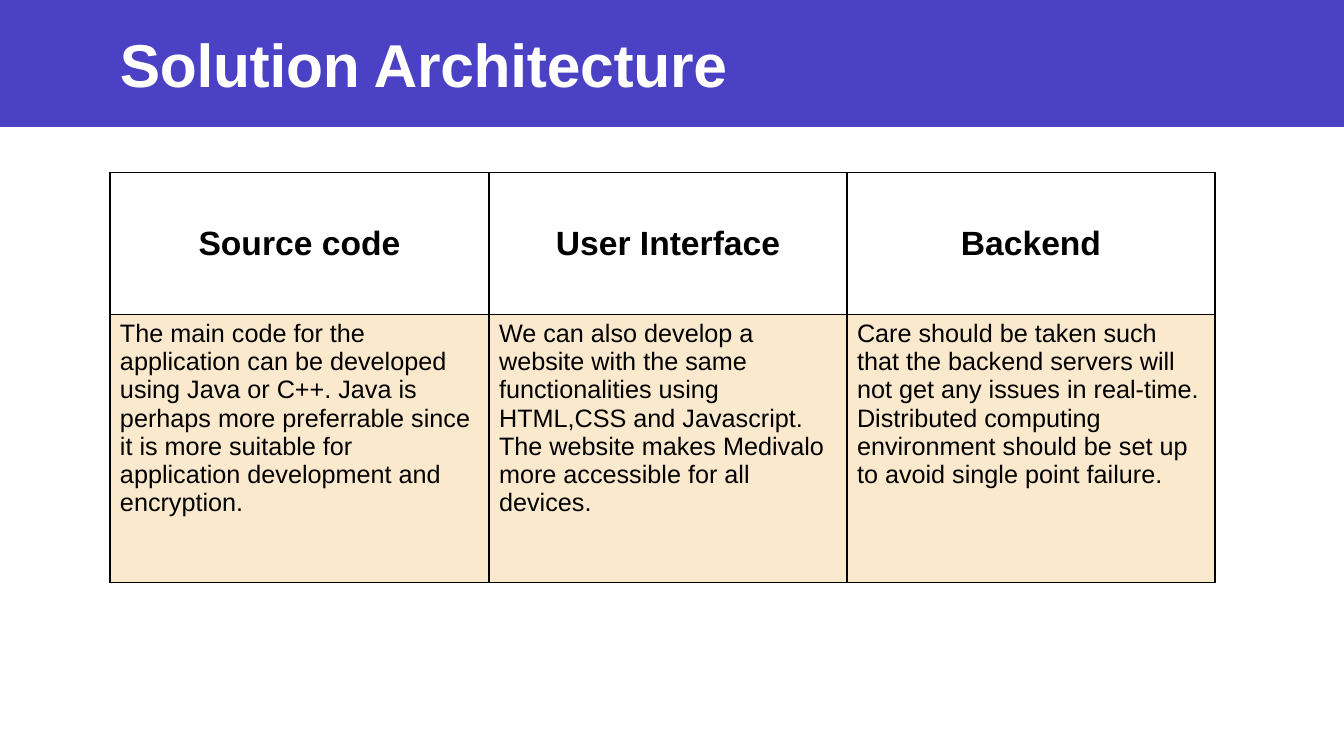
from lxml.etree import SubElement
from pptx import Presentation
from pptx.dml.color import RGBColor
from pptx.enum.shapes import MSO_SHAPE
from pptx.enum.text import MSO_ANCHOR, PP_ALIGN
from pptx.oxml import parse_xml
from pptx.oxml.ns import nsdecls, qn
from pptx.util import Inches, Pt

INDIGO = RGBColor(0x4A, 0x41, 0xC5)
WHITE = RGBColor(0xFF, 0xFF, 0xFF)
BLACK = RGBColor(0x00, 0x00, 0x00)
AMBER = RGBColor(0xE6, 0x95, 0x00)

LEFT, WIDTH = 1.09, 10.96
COLUMN_WIDTHS = [3.76, 3.55, 3.65]
ROW_HEIGHTS = [1.41, 2.66]
COLUMNS = [
    ("Source code",
     "The main code for the application can be developed using Java or C++. "
     "Java is perhaps more preferrable since it is more suitable for "
     "application development and encryption."),
    ("User Interface",
     "We can also develop a website with the same functionalities using "
     "HTML,CSS and Javascript.\n"
     "The website makes Medivalo more accessible for all devices."),
    ("Backend",
     "Care should be taken such that the backend servers will not get any "
     "issues in real-time.\n"
     "Distributed computing environment should be set up to avoid single "
     "point failure."),
]


def style_text(frame, size, color, bold, align=PP_ALIGN.LEFT):
    for para in frame.paragraphs:
        para.alignment = align
        for span in para.runs:
            span.font.name = "Arial"
            span.font.size = Pt(size)
            span.font.bold = bold
            span.font.color.rgb = color


def add_borders(cell):
    """Draw a 1 pt black line on all four sides of a cell."""
    properties = cell._tc.get_or_add_tcPr()
    for index, side in enumerate(("lnL", "lnR", "lnT", "lnB")):
        properties.insert(index, parse_xml(
            f'<a:{side} {nsdecls("a")} w="{Pt(1)}"><a:solidFill>'
            f'<a:srgbClr val="{BLACK}"/></a:solidFill></a:{side}>'))


deck = Presentation()
deck.slide_width, deck.slide_height = Inches(13.33), Inches(7.5)
page = deck.slides.add_slide(deck.slide_layouts[6])

# Title band
band = page.shapes.add_shape(MSO_SHAPE.RECTANGLE, 0, 0, deck.slide_width, Inches(1.26))
band.shadow.inherit = False
band.fill.solid()
band.fill.fore_color.rgb = INDIGO
band.line.fill.background()

title = page.shapes.add_textbox(Inches(LEFT), Inches(0.21), Inches(WIDTH), Inches(0.83))
frame = title.text_frame
frame.word_wrap = True
frame.vertical_anchor = MSO_ANCHOR.MIDDLE
frame.text = "Solution Architecture"
style_text(frame, 43.2, WHITE, True)
frame.paragraphs[0].runs[0].font._element.set("spc", "-20")

# Architecture table
table = page.shapes.add_table(
    len(ROW_HEIGHTS), len(COLUMNS), Inches(LEFT), Inches(1.71),
    Inches(WIDTH), Inches(sum(ROW_HEIGHTS))).table
table.first_row = False
table.horz_banding = False
for row, height in zip(table.rows, ROW_HEIGHTS):
    row.height = Inches(height)

for index, (heading, body) in enumerate(COLUMNS):
    table.columns[index].width = Inches(COLUMN_WIDTHS[index])
    head_cell, body_cell = table.cell(0, index), table.cell(1, index)

    head_cell.text_frame.text = heading
    head_cell.vertical_anchor = MSO_ANCHOR.MIDDLE
    head_cell.fill.background()
    style_text(head_cell.text_frame, 24, BLACK, True, PP_ALIGN.CENTER)

    body_cell.text_frame.text = body
    body_cell.fill.solid()
    body_cell.fill.fore_color.rgb = AMBER
    tint = body_cell._tc.tcPr.find(qn("a:solidFill")).find(qn("a:srgbClr"))
    SubElement(tint, qn("a:alpha")).set("val", "20000")
    style_text(body_cell.text_frame, 18, BLACK, False)

    add_borders(head_cell)
    add_borders(body_cell)

deck.save("out.pptx")
